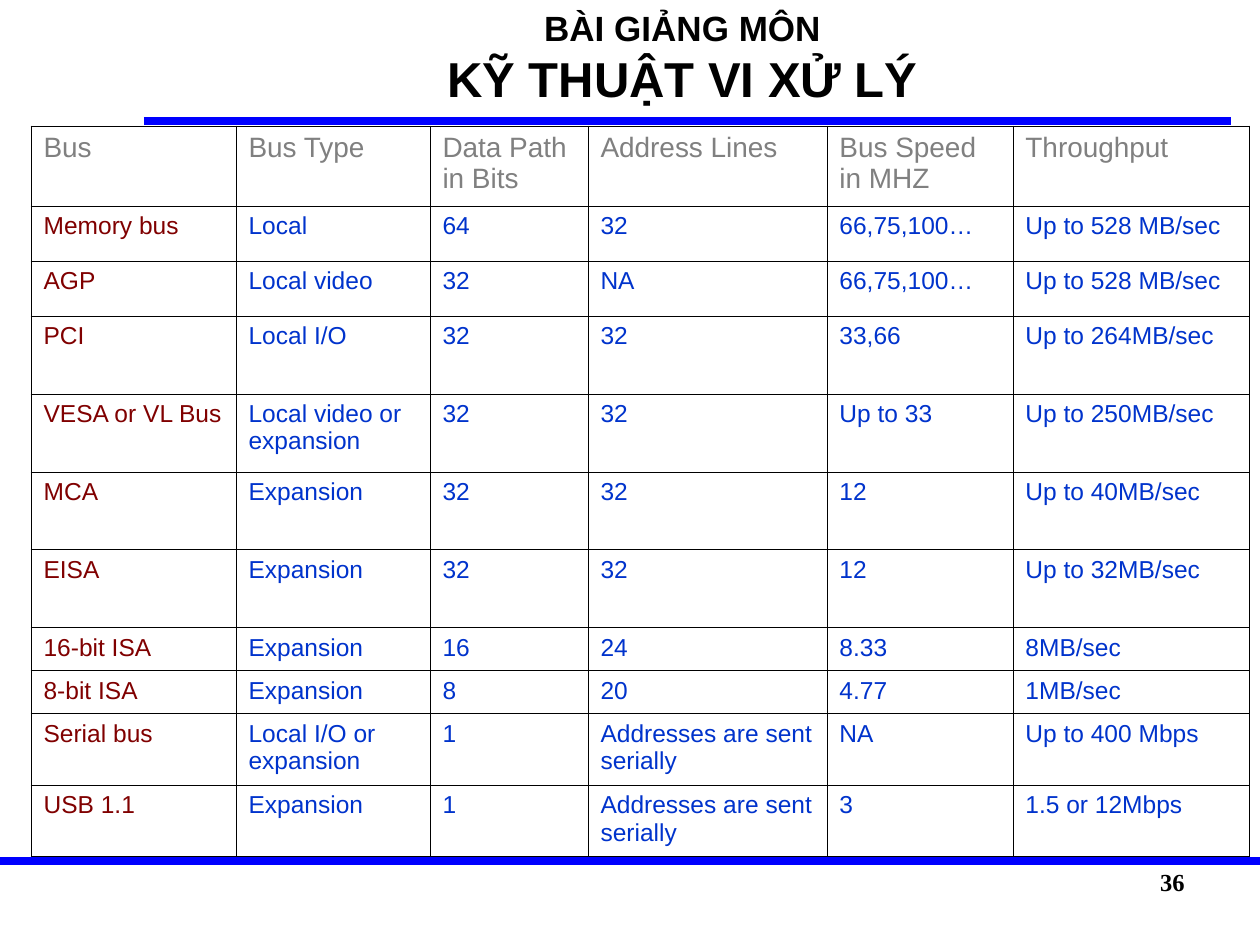
from lxml import etree
from pptx import Presentation
from pptx.dml.color import RGBColor
from pptx.enum.shapes import MSO_CONNECTOR
from pptx.enum.text import PP_ALIGN
from pptx.oxml.ns import qn
from pptx.util import Emu, Pt

PX_PER_INCH = 126
STRAIGHT = MSO_CONNECTOR.STRAIGHT
CENTER, RIGHT = PP_ALIGN.CENTER, PP_ALIGN.RIGHT

BLACK = RGBColor(0x00, 0x00, 0x00)
RULE_BLUE = RGBColor(0x00, 0x00, 0xFF)
HEADER_GRAY = RGBColor(0x80, 0x80, 0x80)
NAME_RED = RGBColor(0x80, 0x00, 0x00)
VALUE_BLUE = RGBColor(0x00, 0x33, 0xCC)

COLUMN_WIDTHS = [205, 194, 158, 239, 186, 237]
ROW_HEIGHTS = [80, 55, 55, 78, 78, 78, 78, 43, 43, 71, 71]
BUSES = [
    ["Bus", "Bus Type", "Data Path in Bits", "Address Lines", "Bus Speed in MHZ", "Throughput"],
    ["Memory bus", "Local", "64", "32", "66,75,100…", "Up to 528 MB/sec"],
    ["AGP", "Local video", "32", "NA", "66,75,100…", "Up to 528 MB/sec"],
    ["PCI", "Local I/O", "32", "32", "33,66", "Up to 264MB/sec"],
    ["VESA or VL Bus", "Local video or expansion", "32", "32", "Up to 33", "Up to 250MB/sec"],
    ["MCA", "Expansion", "32", "32", "12", "Up to 40MB/sec"],
    ["EISA", "Expansion", "32", "32", "12", "Up to 32MB/sec"],
    ["16-bit ISA", "Expansion", "16", "24", "8.33", "8MB/sec"],
    ["8-bit ISA", "Expansion", "8", "20", "4.77", "1MB/sec"],
    ["Serial bus", "Local I/O or expansion", "1", "Addresses are sent serially", "NA",
     "Up to 400 Mbps"],
    ["USB 1.1", "Expansion", "1", "Addresses are sent serially", "3", "1.5 or 12Mbps"],
]


def px(length):
    return Emu(round(length * 914400 / PX_PER_INCH))


def style_text(paragraph, size, color, font="Arial", bold=False):
    for run in paragraph.runs:
        run.font.name = font
        run.font.size = Pt(size)
        run.font.bold = bold
        run.font.color.rgb = color


def add_rule(slide, left, right, y):
    rule = slide.shapes.add_connector(STRAIGHT, px(left), px(y), px(right), px(y))
    rule.line.color.rgb = RULE_BLUE
    rule.line.width = Pt(4.5)
    etree.SubElement(rule._element.spPr, qn("a:effectLst"))


def add_text(slide, box, lines, sizes, align, font="Arial"):
    frame = slide.shapes.add_textbox(*map(px, box)).text_frame
    frame.word_wrap = True
    frame.text = "\n".join(lines)
    for paragraph, size in zip(frame.paragraphs, sizes):
        paragraph.alignment = align
        style_text(paragraph, size, BLACK, font, bold=True)


def set_borders(cell):
    """Draw a thin black line on all four sides, ahead of the cell's fill."""
    properties = cell._tc.get_or_add_tcPr()
    for index, side in enumerate(("a:lnL", "a:lnR", "a:lnT", "a:lnB")):
        border = etree.Element(qn(side), w=str(Pt(0.45)))
        fill = etree.SubElement(border, qn("a:solidFill"))
        etree.SubElement(fill, qn("a:srgbClr"), val=str(BLACK))
        properties.insert(index, border)


def add_bus_table(slide, left, top):
    table = slide.shapes.add_table(
        len(BUSES), len(COLUMN_WIDTHS), px(left), px(top),
        px(sum(COLUMN_WIDTHS)), px(sum(ROW_HEIGHTS))).table
    table.first_row = table.horz_banding = False
    for column, width in zip(table.columns, COLUMN_WIDTHS):
        column.width = px(width)
    for row, height in zip(table.rows, ROW_HEIGHTS):
        row.height = px(height)
    for r, bus in enumerate(BUSES):
        for c, value in enumerate(bus):
            cell = table.cell(r, c)
            cell.text = value
            cell.fill.background()
            set_borders(cell)
            if r == 0:
                size, color = 16, HEADER_GRAY
            else:
                size, color = 14, VALUE_BLUE if c else NAME_RED
            style_text(cell.text_frame.paragraphs[0], size, color)


def main():
    presentation = Presentation()
    presentation.slide_width, presentation.slide_height = px(1260), px(945)
    slide = presentation.slides.add_slide(presentation.slide_layouts[6])
    add_rule(slide, 144, 1231, 121)
    add_rule(slide, 0, 1260, 861)
    add_text(slide, (147, 0, 1071, 105), ["BÀI GIẢNG MÔN", "KỸ THUẬT VI XỬ LÝ"],
             [20, 28], CENTER)
    add_bus_table(slide, 31, 126)
    add_text(slide, (903, 861, 294, 66), ["36"], [14], RIGHT, "Times New Roman")
    presentation.save("out.pptx")


if __name__ == "__main__":
    main()
